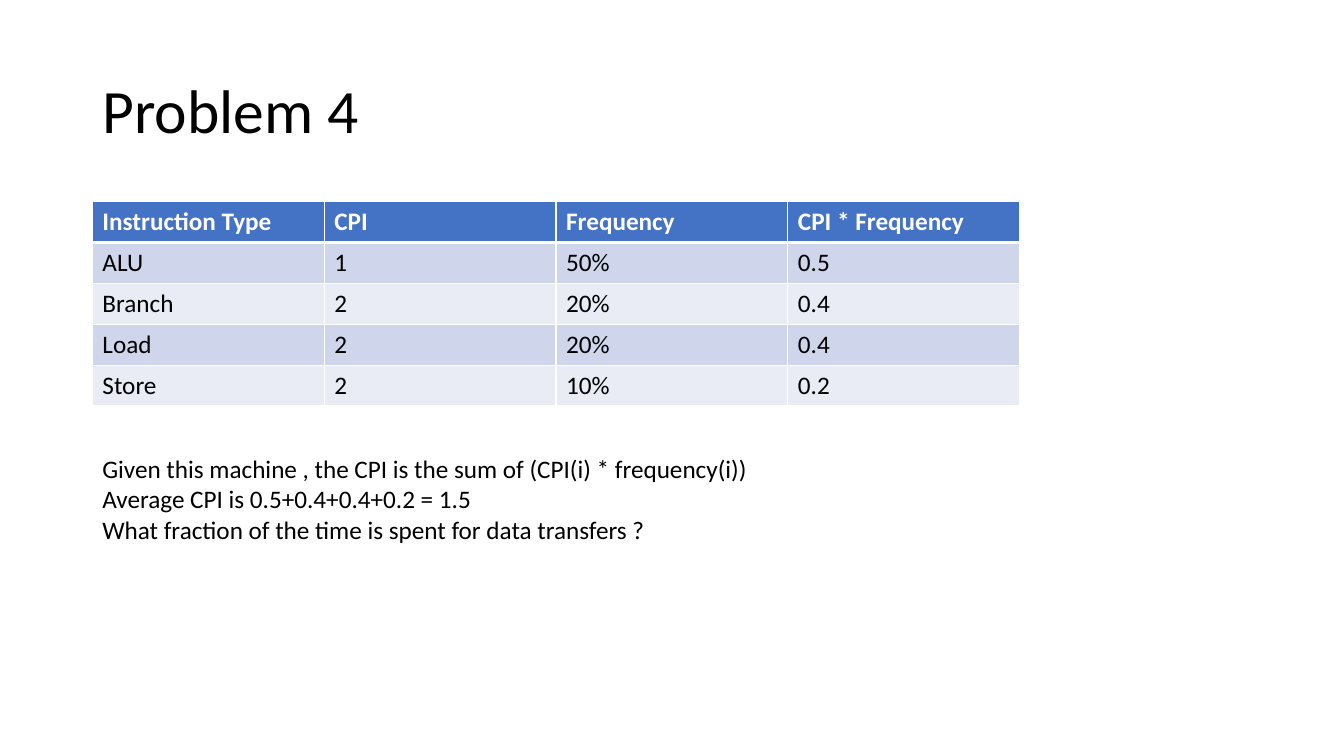
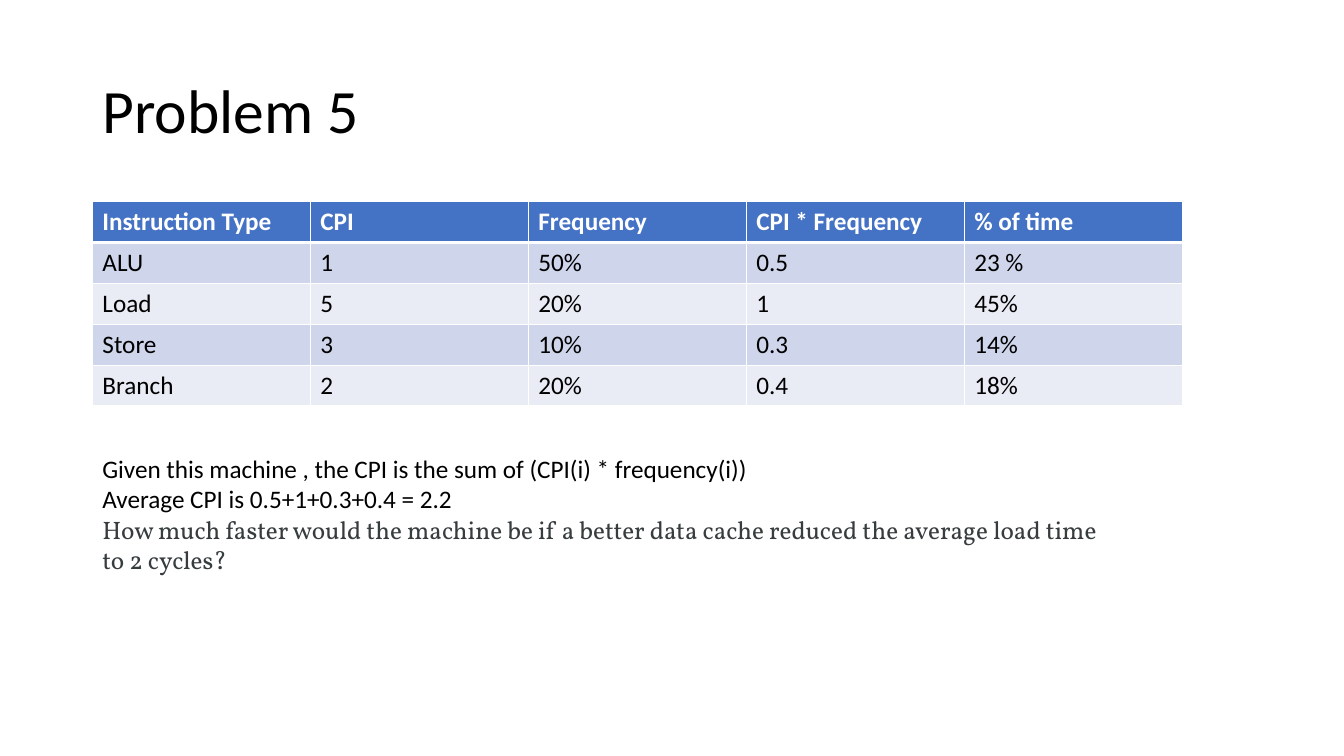
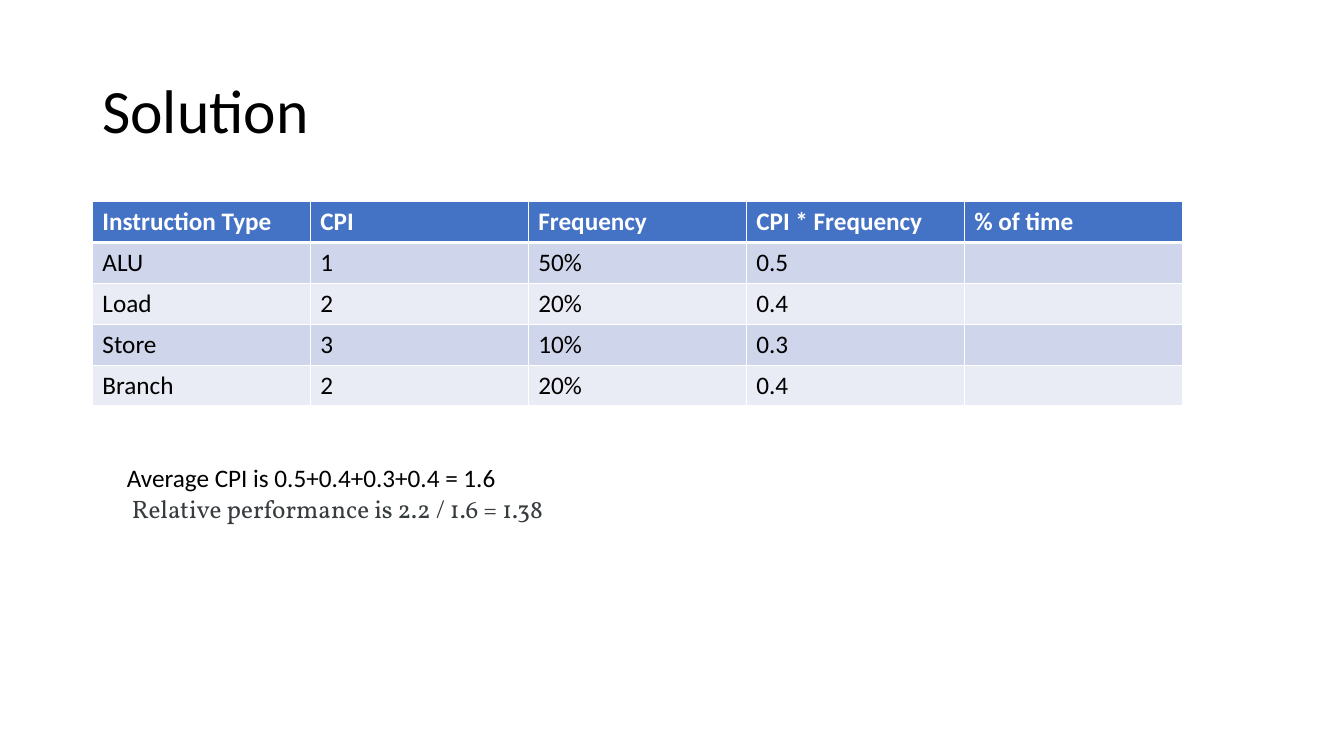
"""Build three slides on cycles per instruction."""
from lxml import etree
from pptx import Presentation
from pptx.dml import color
from pptx.enum import text
from pptx.oxml import ns
from pptx.util import Pt

BLACK, WHITE, GREY = "000000", "FFFFFF", "373D3F"
HEAD, BANDS = "4472C4", ("CFD5EA", "E9EBF5")
SANS, SERIF = "Calibri", "Vollkorn"
PLAIN, QUOTE = (SANS, BLACK), (SERIF, GREY)
LEFT, ROW = 66, 29.2
NOTE = (LEFT, 320.4, 725, 94.3)
COLS = ["Instruction Type", "CPI", "Frequency", "CPI * Frequency"]
TIME = COLS + ["% of time"]
SUM = "Given this machine , the CPI is the sum of (CPI(i) * frequency(i))"


def rgb(code):
    return color.RGBColor.from_string(code)


def style(para, size, face=SANS, tone=BLACK, bold=False):
    for run in para.runs:
        font = run.font
        font.name, font.size, font.bold = face, Pt(size), bold
        font.color.rgb = rgb(tone)


def add_box(slide, area):
    frame = slide.shapes.add_textbox(*map(Pt, area)).text_frame
    frame.word_wrap = True
    return frame


def add_title(slide, words):
    frame = add_box(slide, (LEFT, 28.8, 828, 104.4))
    frame.vertical_anchor = text.MSO_ANCHOR.MIDDLE
    frame.text = words
    para = frame.paragraphs[0]
    para.line_spacing = 0.9
    style(para, 44)


def add_note(slide, area, lines):
    frame = add_box(slide, area)
    frame.auto_size = text.MSO_AUTO_SIZE.SHAPE_TO_FIT_TEXT
    frame.text = "\n".join(words for words, look in lines)
    for para, (words, look) in zip(frame.paragraphs, lines):
        style(para, 18, *look)


def add_edges(cell, top, base):
    props = cell._tc.get_or_add_tcPr()
    for side, width in zip("LRTB", (1, 1, top, base)):
        line = etree.SubElement(props, ns.qn("a:ln" + side), w=str(Pt(width)))
        fill = etree.SubElement(line, ns.qn("a:solidFill"))
        etree.SubElement(fill, ns.qn("a:srgbClr"), val=WHITE)


def add_grid(slide, width, rows):
    count = len(rows[0])
    area = (LEFT, 144, width * count, ROW * len(rows))
    table = slide.shapes.add_table(len(rows), count, *map(Pt, area)).table
    for col in table.columns:
        col.width = Pt(width)
    for i, row in enumerate(rows):
        table.rows[i].height = Pt(ROW)
        top = i == 0
        for j, words in enumerate(row):
            cell = table.cell(i, j)
            cell.text = words
            style(cell.text_frame.paragraphs[0], 18,
                  tone=WHITE if top else BLACK, bold=top)
            add_edges(cell, 3 if i == 1 else 1, 3 if top else 1)
            cell.fill.solid()
            cell.fill.fore_color.rgb = rgb(HEAD if top else BANDS[(i - 1) % 2])


def add_page(deck, title, width, rows, area, lines):
    slide = deck.slides.add_slide(deck.slide_layouts[6])
    add_title(slide, title)
    add_grid(slide, width, rows)
    add_note(slide, area, lines)


def main():
    deck = Presentation()
    deck.slide_width, deck.slide_height = Pt(960), Pt(540)
    add_page(deck, "Problem 4", 165.6, [
        COLS,
        ["ALU", "1", "50%", "0.5"],
        ["Branch", "2", "20%", "0.4"],
        ["Load", "2", "20%", "0.4"],
        ["Store", "2", "10%", "0.2"],
    ], NOTE, [
        (SUM, PLAIN),
        ("Average CPI is 0.5+0.4+0.4+0.2 = 1.5", PLAIN),
        ("What fraction of the time is spent for data transfers ?", PLAIN),
    ])
    add_page(deck, "Problem 5", 155.7, [
        TIME,
        ["ALU", "1", "50%", "0.5", "23 %"],
        ["Load", "5", "20%", "1", "45%"],
        ["Store", "3", "10%", "0.3", "14%"],
        ["Branch", "2", "20%", "0.4", "18%"],
    ], NOTE, [
        (SUM, PLAIN),
        ("Average CPI is 0.5+1+0.3+0.4 = 2.2", PLAIN),
        ("How much faster would the machine be if a better data cache "
         "reduced the average load time to 2 cycles?", QUOTE),
    ])
    add_page(deck, "Solution", 155.7, [
        TIME,
        ["ALU", "1", "50%", "0.5", ""],
        ["Load", "2", "20%", "0.4", ""],
        ["Store", "3", "10%", "0.3", ""],
        ["Branch", "2", "20%", "0.4", ""],
    ], (83.5, 326.9, 528.5, 72.7), [
        ("Average CPI is 0.5+0.4+0.3+0.4 = 1.6", PLAIN),
        (" Relative performance is 2.2 / 1.6 = 1.38", QUOTE),
    ])
    deck.save("out.pptx")


if __name__ == "__main__":
    main()
